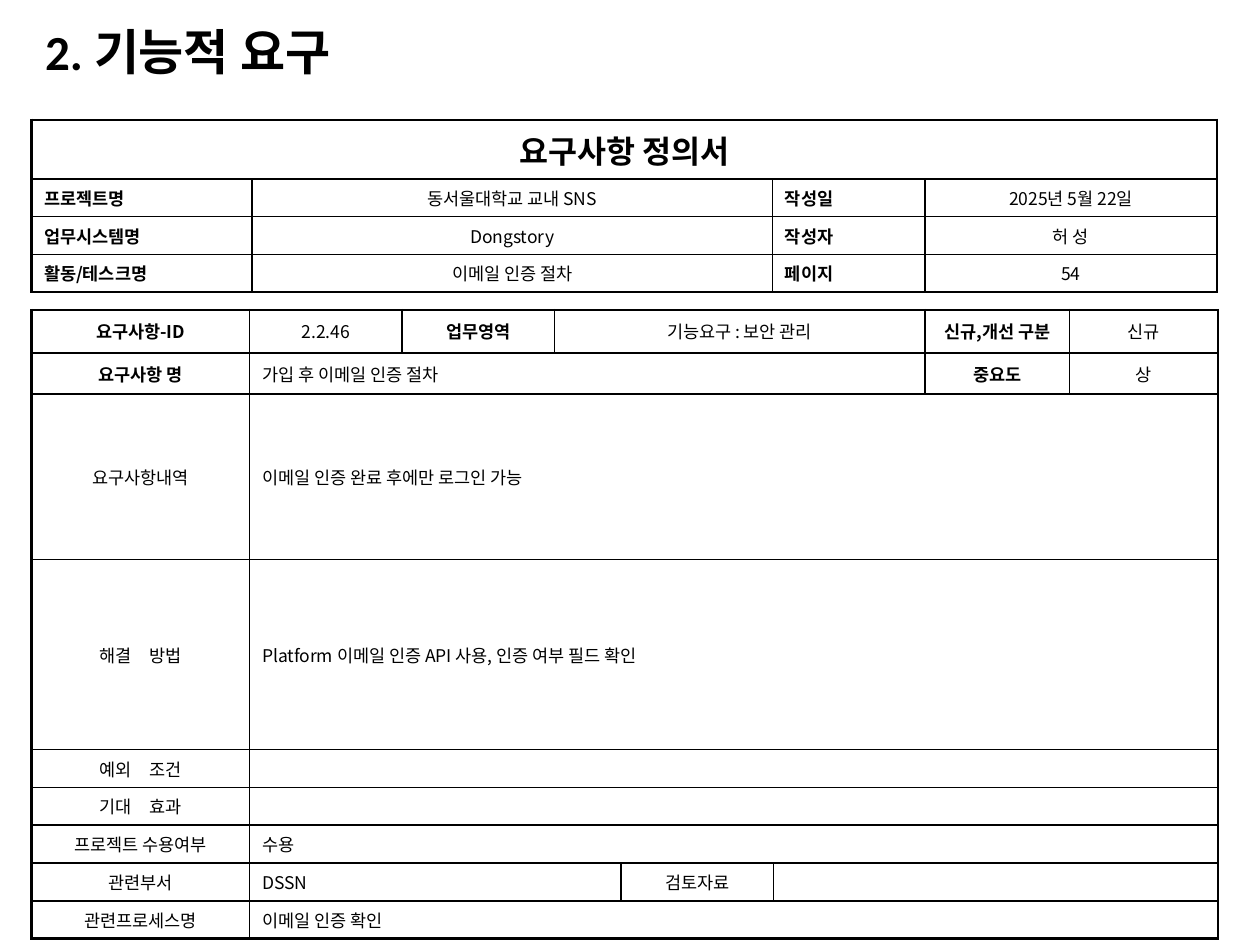
from dataclasses import dataclass

from lxml import etree
from pptx import Presentation
from pptx.dml.color import RGBColor
from pptx.enum.text import MSO_ANCHOR, PP_ALIGN
from pptx.oxml.ns import qn
from pptx.util import Inches, Pt

LEFT, CENTER, JUSTIFY = PP_ALIGN.LEFT, PP_ALIGN.CENTER, PP_ALIGN.JUSTIFY
TOP, MIDDLE = MSO_ANCHOR.TOP, MSO_ANCHOR.MIDDLE


@dataclass(frozen=True)
class Theme:
    """Colours, fonts, type sizes and line widths of the slide."""
    ink: str = "000000"
    latin: str = "Calibri"
    korean: str = "Noto Sans CJK KR"
    title: int = 28
    heading: int = 18
    body: int = 10
    thick: float = 1.5
    thin: float = 1


@dataclass(frozen=True)
class Entry:
    """Content and format of one table cell."""
    text: str = ""
    span: int = 1
    align: PP_ALIGN = CENTER
    bold: bool = False
    size: int = Theme.body
    anchor: MSO_ANCHOR = MIDDLE
    font: str = Theme.korean
    gap: float = 0


THEME = Theme()
WORD_GAP = 8.5


def write_text(frame, text, size=THEME.body, font=THEME.korean, bold=False,
               align=LEFT, line_spacing=None, gap=0):
    """Write one paragraph, widening its first space by gap points."""
    paragraph = frame.paragraphs[0]
    paragraph.alignment = align
    if line_spacing:
        paragraph.line_spacing = line_spacing
    if not text:
        etree.SubElement(paragraph._p, qn("a:endParaRPr"), sz=str(size * 100))
        return
    for piece in text.partition(" ") if gap else [text]:
        run = paragraph.add_run()
        run.text = piece
        run.font.size = Pt(size)
        run.font.bold = bold
        run.font.name = font
        run.font.color.rgb = RGBColor.from_string(THEME.ink)
        properties = run._r.get_or_add_rPr()
        etree.SubElement(properties, qn("a:ea"), typeface=THEME.korean)
        if gap and piece == " ":
            properties.set("spc", str(round(gap * 100)))


def set_borders(cell, left, right, top, bottom):
    """Draw the four sides of a cell with the given widths in points."""
    properties = cell._tc.get_or_add_tcPr()
    sides = {"a:lnL": left, "a:lnR": right, "a:lnT": top, "a:lnB": bottom}
    for position, (tag, width) in enumerate(sides.items()):
        line = etree.Element(qn(tag), w=str(Pt(width)))
        fill = etree.SubElement(line, qn("a:solidFill"))
        etree.SubElement(fill, qn("a:srgbClr"), val=THEME.ink)
        properties.insert(position, line)


def add_form_table(slide, left, top, columns, heights, rows, thick_lines=()):
    """Add a ruled table with thick outer sides and thick chosen row lines."""
    shape = slide.shapes.add_table(
        len(heights), len(columns), Inches(left), Inches(top),
        Inches(sum(columns)), Inches(sum(heights)))
    table = shape.table
    table.first_row = table.horz_banding = False
    for column, width in zip(table.columns, columns):
        column.width = Inches(width)
    for row, height in zip(table.rows, heights):
        row.height = Inches(height)

    thick_rows = {0, len(heights), *thick_lines}
    thick_columns = {0, len(columns)}

    def width_at(line, thick_set):
        """Give the width of a grid line."""
        return THEME.thick if line in thick_set else THEME.thin

    for row_index, entries in enumerate(rows):
        start = 0
        for entry in entries:
            end = start + entry.span
            for column_index in range(start, end):
                cell = table.cell(row_index, column_index)
                cell.fill.background()
                set_borders(cell, width_at(start, thick_columns),
                            width_at(end, thick_columns),
                            width_at(row_index, thick_rows),
                            width_at(row_index + 1, thick_rows))
            cell = table.cell(row_index, start)
            if entry.span > 1:
                cell.merge(table.cell(row_index, end - 1))
            cell.vertical_anchor = entry.anchor
            write_text(cell.text_frame, entry.text, size=entry.size,
                       font=entry.font, bold=entry.bold, align=entry.align,
                       gap=entry.gap)
            start = end


def add_title(slide, left, top, width, height):
    """Add the slide heading."""
    frame = slide.shapes.add_textbox(
        Inches(left), Inches(top), Inches(width), Inches(height)).text_frame
    frame.word_wrap = True
    frame.vertical_anchor = MIDDLE
    write_text(frame, "2. 기능적 요구", size=THEME.title, font=THEME.latin,
               bold=True, line_spacing=0.9)


def add_document_table(slide, left, top):
    """Add the table that identifies the document."""
    facts = [
        ("프로젝트명", "동서울대학교 교내 SNS", "작성일", "2025년 5월 22일"),
        ("업무시스템명", "Dongstory", "작성자", "허 성"),
        ("활동/테스크명", "이메일 인증 절차", "페이지", "54"),
    ]
    rows = [[Entry("요구사항 정의서", 4, bold=True, size=THEME.heading)]]
    for fact in facts:
        rows.append([
            Entry(text, anchor=TOP, bold=index % 2 == 0,
                  align=CENTER if index % 2 else JUSTIFY)
            for index, text in enumerate(fact)])
    add_form_table(slide, left, top, [1.75, 4.13, 1.21, 2.32],
                   [0.47] + [0.3] * 3, rows)


def add_requirement_table(slide, left, top):
    """Add the table that describes the requirement."""
    rows = [
        [Entry("요구사항-ID", bold=True), Entry("2.2.46"),
         Entry("업무영역", bold=True), Entry("기능요구 : 보안 관리", 3),
         Entry("신규,개선 구분", bold=True), Entry("신규")],
        [Entry("요구사항 명", bold=True),
         Entry("가입 후 이메일 인증 절차", 5, LEFT),
         Entry("중요도", bold=True), Entry("상")],
        [Entry("요구사항내역"),
         Entry("이메일 인증 완료 후에만 로그인 가능", 7, LEFT, font=THEME.latin)],
        [Entry("해결 방법", gap=WORD_GAP),
         Entry("Platform 이메일 인증 API 사용, 인증 여부 필드 확인", 7, LEFT)],
        [Entry("예외 조건", gap=WORD_GAP), Entry(span=7)],
        [Entry("기대 효과", gap=WORD_GAP), Entry(span=7)],
        [Entry("프로젝트 수용여부"), Entry("수용", 7, LEFT)],
        [Entry("관련부서"), Entry("DSSN", 3, LEFT), Entry("검토자료"),
         Entry(span=3)],
        [Entry("관련프로세스명"), Entry("이메일 인증 확인", 7, LEFT)],
    ]
    add_form_table(slide, left, top,
                   [1.73, 1.21, 1.21, 0.53, 1.21, 1.2, 1.15, 1.18],
                   [0.34, 0.33, 1.31, 1.51] + [0.3] * 5, rows,
                   thick_lines=(1, 2))


def main():
    """Build the slide and save it."""
    presentation = Presentation()
    presentation.slide_width = Inches(10)
    presentation.slide_height = Inches(7.5)
    slide = presentation.slides.add_slide(presentation.slide_layouts[6])
    add_title(slide, 0.26, 0.21, 5.36, 0.44)
    add_requirement_table(slide, 0.25, 2.46)
    add_document_table(slide, 0.25, 0.95)
    presentation.save("out.pptx")


if __name__ == "__main__":
    main()
